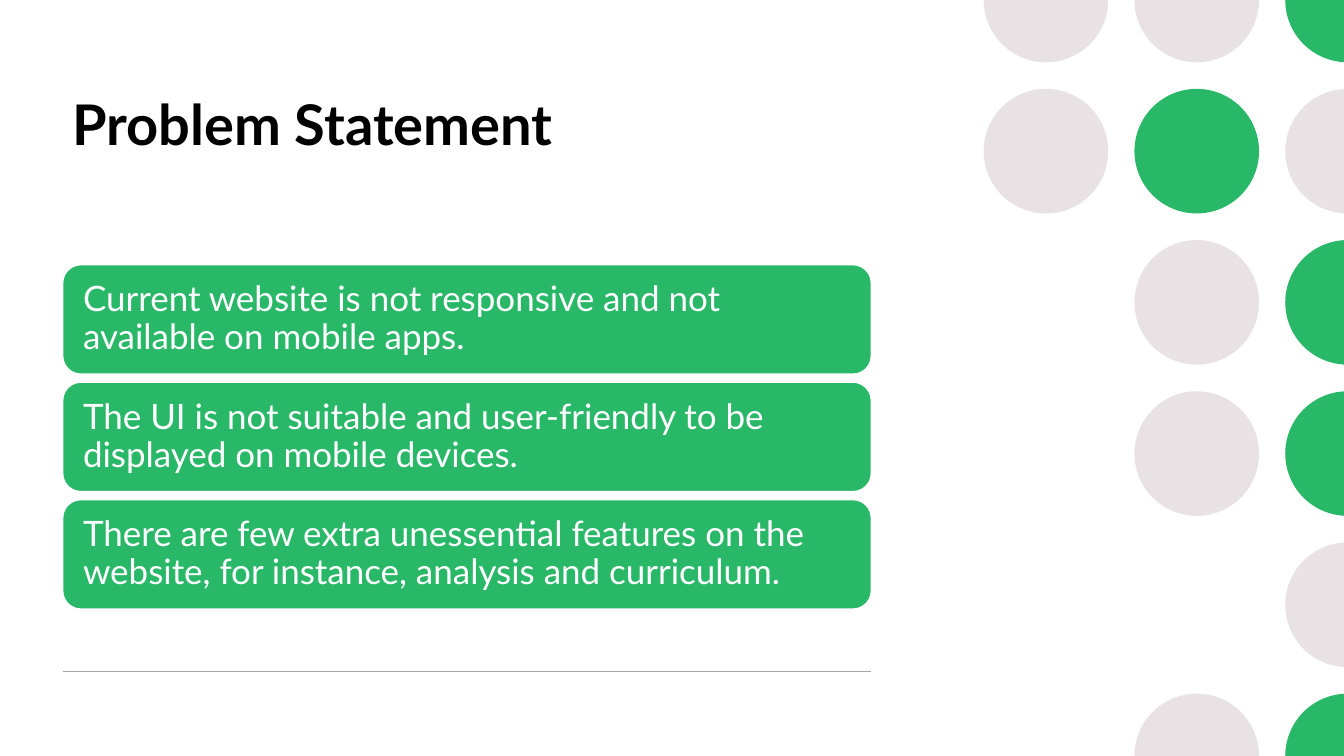
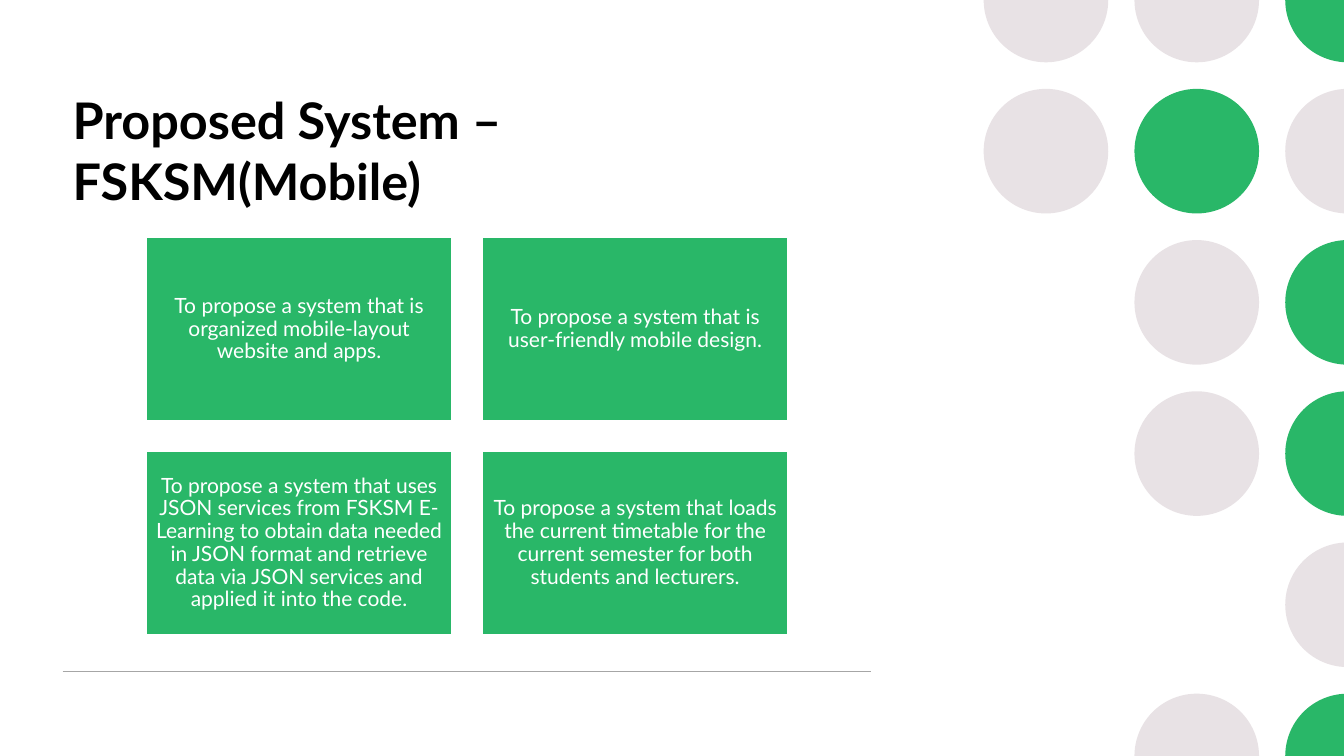
import pptx
import pptx.dml.color
import pptx.enum.shapes
import pptx.enum.text
import pptx.oxml.ns
import pptx.util
from lxml import etree

Cm = pptx.util.Cm
Pt = pptx.util.Pt
SHAPE = pptx.enum.shapes.MSO_SHAPE
ALIGN = pptx.enum.text.PP_ALIGN
ANCHOR = pptx.enum.text.MSO_ANCHOR

PAGE_WIDTH, PAGE_HEIGHT = 33.87, 19.05
LEFT, CONTENT_WIDTH = 1.58, 20.38
FONT = "Lato"
GREEN, PALE, WHITE, BLACK, RULE = "29B768", "E8E2E5", "FFFFFF", "000000", "A6A6A6"
DOT_ROWS = ["ppg", "pgp", " pg", " pg", "  p", " pg"]
DOT_COLOURS = {"p": PALE, "g": GREEN}
DOT_SIZE, DOT_PITCH, DOT_LEFT = 3.14, 3.8, 24.79
DOT_PITCH_Y = PAGE_HEIGHT / (len(DOT_ROWS) - 1)

PROBLEMS = [
    "Current website is not responsive and not available on mobile apps.",
    "The UI is not suitable and user-friendly to be displayed on mobile devices.",
    "There are few extra unessential features on the website, for instance, "
    "analysis and curriculum.",
]
PROPOSALS = [
    "To propose a system that is organized mobile-layout website and apps.",
    "To propose a system that is user-friendly mobile design.",
    "To propose a system that uses JSON services from FSKSM E-Learning to obtain "
    "data needed in JSON format and retrieve data via JSON services and applied it "
    "into the code.",
    "To propose a system that loads the current timetable for the current semester "
    "for both students and lecturers.",
]


def colour(value):
    """Return the colour of a hex string."""
    return pptx.dml.color.RGBColor.from_string(value)


def add_filled(page, kind, place, fill, line=None):
    """Draw a flat preset shape with an optional outline."""
    shape = page.shapes.add_shape(kind, *(Cm(length) for length in place))
    shape.shadow.inherit = False
    shape.fill.solid()
    shape.fill.fore_color.rgb = colour(fill)
    if line:
        shape.line.color.rgb = colour(line)
        shape.line.width = Pt(1)
    else:
        shape.line.fill.background()
    return shape


def write(box, text, size, ink, bold=False, align=ALIGN.LEFT, spacing=1.0):
    """Put one formatted paragraph into a box."""
    box.text_frame.word_wrap = True
    box.text_frame.text = text
    para = box.text_frame.paragraphs[0]
    para.alignment = align
    para.line_spacing = spacing
    for span in para.runs:
        span.font.name = FONT
        span.font.size = Pt(size)
        span.font.bold = bold
        span.font.color.rgb = colour(ink)


def add_dots(page):
    """Draw the dot pattern that bleeds off the page edges."""
    for row, marks in enumerate(DOT_ROWS):
        for column, mark in enumerate(marks):
            if mark in DOT_COLOURS:
                place = (DOT_LEFT + column * DOT_PITCH,
                         row * DOT_PITCH_Y - DOT_SIZE / 2, DOT_SIZE, DOT_SIZE)
                add_filled(page, SHAPE.OVAL, place, DOT_COLOURS[mark])


def add_rule(page, y):
    """Draw the thin line below the content."""
    rule = page.shapes.add_connector(
        pptx.enum.shapes.MSO_CONNECTOR.STRAIGHT,
        Cm(LEFT), Cm(y), Cm(LEFT + CONTENT_WIDTH), Cm(y))
    rule.line.color.rgb = colour(RULE)
    rule.line.width = Pt(1)
    etree.SubElement(rule.element.spPr, pptx.oxml.ns.qn("a:effectLst"))


def add_title(page, text, size):
    """Write the page title."""
    box = page.shapes.add_textbox(Cm(LEFT), Cm(2.13), Cm(CONTENT_WIDTH), Cm(3.53))
    box.text_frame.margin_right = Cm(0.75)
    write(box, text, size, BLACK, bold=True)


def add_page(deck, title, title_size):
    """Add a page with the dots, the rule and the title."""
    page = deck.slides.add_slide(deck.slide_layouts[6])
    add_dots(page)
    add_rule(page, 16.92)
    add_title(page, title, title_size)
    return page


def add_card(page, kind, place, text, size, margin, align):
    """Draw a green card with white text."""
    card = add_filled(page, kind, place, GREEN, WHITE)
    frame = card.text_frame
    frame.margin_left = frame.margin_right = Cm(margin)
    frame.margin_top = frame.margin_bottom = Cm(0.15)
    frame.vertical_anchor = ANCHOR.MIDDLE
    write(card, text, size, WHITE, align=align, spacing=0.9)


def add_problem_list(page):
    """Stack the problems as rounded bars."""
    top, height, gap = 6.67, 2.76, 0.2
    for index, text in enumerate(PROBLEMS):
        place = (LEFT, top + index * (height + gap), CONTENT_WIDTH, height)
        add_card(page, SHAPE.ROUNDED_RECTANGLE, place, text, 25, 0.38, ALIGN.LEFT)


def add_proposal_grid(page):
    """Set the proposals in a grid of two columns."""
    left, top, width, height, gap = 3.69, 5.99, 7.7, 4.62, 0.77
    for index, text in enumerate(PROPOSALS):
        row, column = divmod(index, 2)
        place = (left + column * (width + gap), top + row * (height + gap),
                 width, height)
        add_card(page, SHAPE.RECTANGLE, place, text, 15, 0.15, ALIGN.CENTER)


def main():
    """Build and save the deck."""
    deck = pptx.Presentation()
    deck.slide_width = Cm(PAGE_WIDTH)
    deck.slide_height = Cm(PAGE_HEIGHT)
    add_problem_list(add_page(deck, "Problem Statement", 40))
    add_proposal_grid(add_page(deck, "Proposed System – FSKSM(Mobile)", 36))
    deck.save("out.pptx")


if __name__ == "__main__":
    main()
